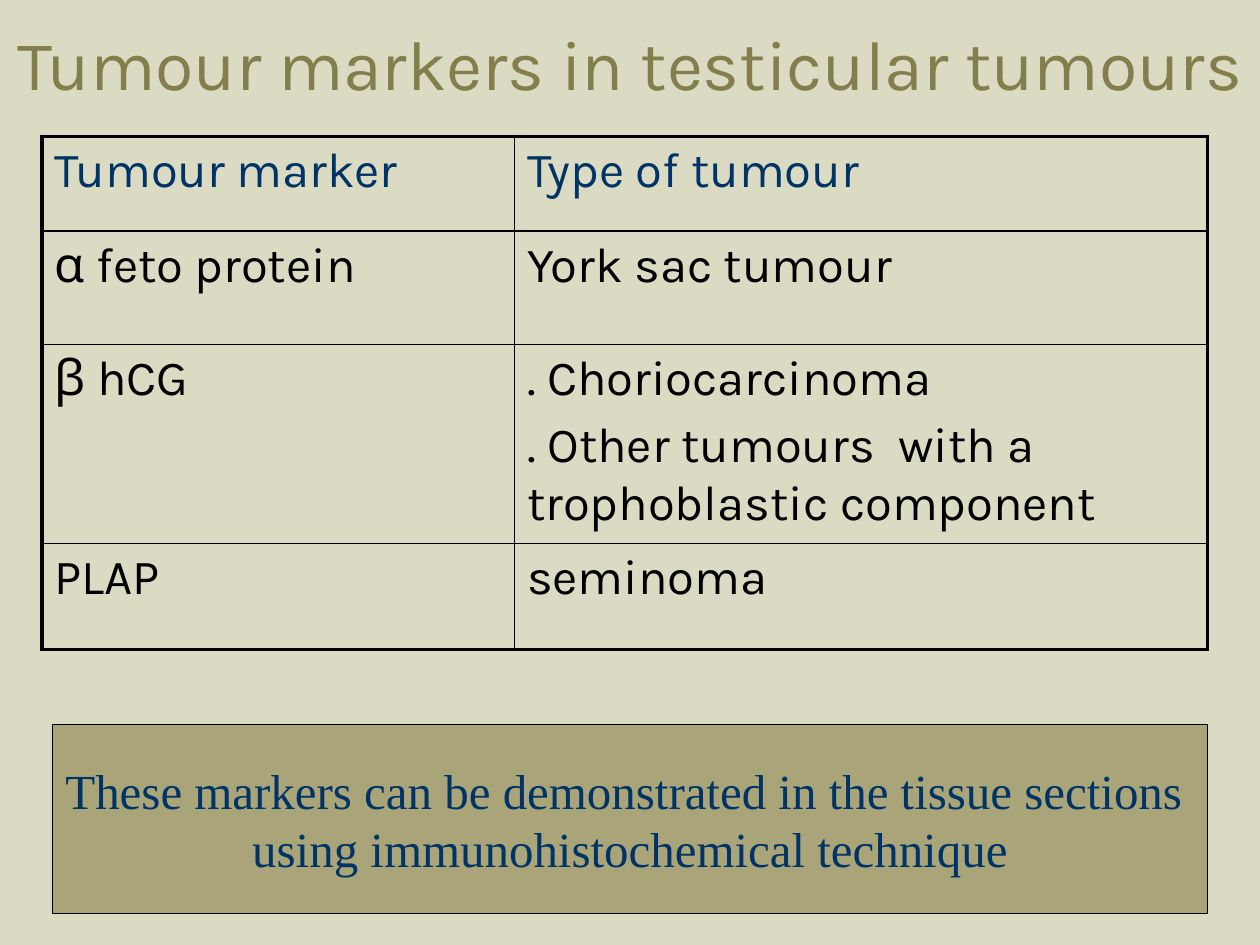
import pptx
import pptx.dml.color
import pptx.enum.shapes
import pptx.enum.text
import pptx.oxml
import pptx.oxml.ns
import pptx.util

RGBColor = pptx.dml.color.RGBColor
PAPER = RGBColor(0xDB, 0xDA, 0xC2)
OLIVE = RGBColor(0x82, 0x7F, 0x4C)
KHAKI = RGBColor(0xAA, 0xA5, 0x78)
NAVY = RGBColor(0x00, 0x33, 0x66)
BLACK = RGBColor(0x00, 0x00, 0x00)

GRID_COLUMNS, GRID_ROWS = 120, 90
MARKER_ROWS = [
    (["Tumour marker"], ["Type of tumour"]),
    (["α feto protein"], ["York sac tumour"]),
    (["β hCG"], [". Choriocarcinoma", ". Other tumours  with a trophoblastic component"]),
    (["PLAP"], ["seminoma"]),
]


class SlideBuilder:
    heading_font = "Karla"
    callout_font = "Times New Roman"
    title_size = 40
    body_size = 28
    outer_border = 2.25
    inner_border = 1

    def __init__(self, deck):
        self.unit_x = deck.slide_width / GRID_COLUMNS
        self.unit_y = deck.slide_height / GRID_ROWS
        self.slide = deck.slides.add_slide(deck.slide_layouts[6])
        self.slide.background.fill.solid()
        self.slide.background.fill.fore_color.rgb = PAPER

    def place(self, column, row, columns, rows):
        return (round(column * self.unit_x), round(row * self.unit_y),
                round(columns * self.unit_x), round(rows * self.unit_y))

    def add_lines(self, frame, lines, font, size, color, align=None, gap=0):
        for index, line in enumerate(lines):
            paragraph = frame.paragraphs[0] if index == 0 else frame.add_paragraph()
            paragraph.alignment = align
            if index and gap:
                paragraph.space_before = pptx.util.Pt(gap)
            run = paragraph.add_run()
            run.text = line
            run.font.name = font
            run.font.size = pptx.util.Pt(size)
            run.font.color.rgb = color

    def title(self, text, *area):
        frame = self.slide.shapes.add_textbox(*self.place(*area)).text_frame
        frame.word_wrap = True
        frame.vertical_anchor = pptx.enum.text.MSO_ANCHOR.MIDDLE
        self.add_lines(frame, [text], self.heading_font, self.title_size, OLIVE,
                       pptx.enum.text.PP_ALIGN.CENTER)

    def border(self, cell, side, width):
        properties = cell._tc.get_or_add_tcPr()
        line = pptx.oxml.parse_xml(
            f'<a:{side} {pptx.oxml.ns.nsdecls("a")} w="{pptx.util.Pt(width)}">'
            f'<a:solidFill><a:srgbClr val="{BLACK}"/></a:solidFill></a:{side}>')
        properties.append(line)

    def table(self, entries, column, row, widths, heights):
        area = self.place(column, row, sum(widths), sum(heights))
        table = self.slide.shapes.add_table(len(heights), len(widths), *area).table
        table.first_row = table.horz_banding = False
        for track, width in zip(table.columns, widths):
            track.width = round(width * self.unit_x)
        for track, height in zip(table.rows, heights):
            track.height = round(height * self.unit_y)
        last_row, last_column = len(heights) - 1, len(widths) - 1
        for r, entry in enumerate(entries):
            for c, lines in enumerate(entry):
                cell = table.cell(r, c)
                self.add_lines(cell.text_frame, lines, self.heading_font, self.body_size,
                               NAVY if r == 0 else BLACK, gap=self.body_size * 0.2)
                edges = {"lnL": c == 0, "lnR": c == last_column,
                         "lnT": r == 0, "lnB": r == last_row}
                for side, outer in edges.items():
                    self.border(cell, side, self.outer_border if outer else self.inner_border)
                cell.fill.background()

    def callout(self, lines, *area):
        box = self.slide.shapes.add_shape(
            pptx.enum.shapes.MSO_SHAPE.RECTANGLE, *self.place(*area))
        box.shadow.inherit = False
        box.fill.solid()
        box.fill.fore_color.rgb = KHAKI
        box.line.color.rgb = BLACK
        box.line.width = pptx.util.Pt(0.75)
        box.text_frame.word_wrap = False
        box.text_frame.vertical_anchor = pptx.enum.text.MSO_ANCHOR.MIDDLE
        self.add_lines(box.text_frame, lines, self.callout_font, self.body_size, NAVY,
                       pptx.enum.text.PP_ALIGN.CENTER)


def main():
    deck = pptx.Presentation()
    deck.slide_width = pptx.util.Inches(10)
    deck.slide_height = pptx.util.Inches(7.5)
    builder = SlideBuilder(deck)
    builder.title("Tumour markers in testicular tumours", 0, 0, GRID_COLUMNS, 12)
    builder.table(MARKER_ROWS, 4, 13, widths=[45, 66], heights=[9, 10.8, 18.5, 10.1])
    builder.callout(["These markers can be demonstrated in the tissue sections ",
                     "using immunohistochemical technique"], 5, 69, 110, 18)
    deck.save("out.pptx")


if __name__ == "__main__":
    main()
